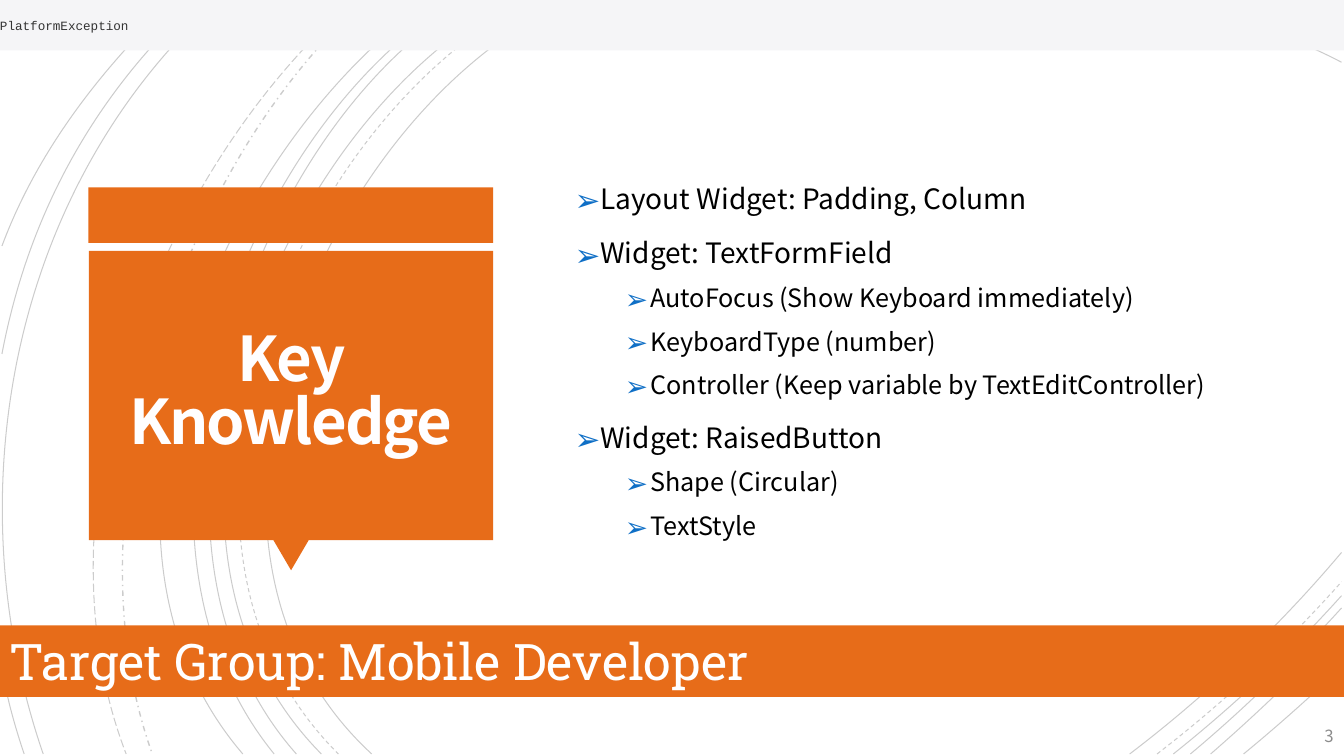
from lxml.etree import SubElement
from pptx import Presentation
from pptx.dml.color import RGBColor
from pptx.enum.dml import MSO_LINE
from pptx.enum.shapes import MSO_SHAPE
from pptx.enum.text import MSO_ANCHOR as ANCHOR, PP_ALIGN as ALIGN
from pptx.oxml.ns import qn
from pptx.util import Cm, Pt

SLIDE_W, SLIDE_H = 33.87, 19.05
SANS, SLAB, MONO = "Noto Sans CJK JP", "Roboto Slab", "Courier New"
ORANGE, WHITE = "E76C19", "FFFFFF"

# Cubic curves by dash style: start, two control points, end (x, y in cm)
CURVES = {
    MSO_LINE.SOLID: [
        (14.35, 0, 8, 2.92, 3.63, 13.72, 9.37, 19),
        (12.85, 0, 6.86, 3.23, 2.79, 13.64, 8.1, 19),
        (11.79, 0, 6.2, 3.38, 2.79, 13.74, 7.47, 19),
        (11.46, 0, 5.87, 3.51, 2.46, 13.54, 6.91, 19),
        (10.85, 0, 5.51, 3.73, 1.35, 13.44, 6.12, 19),
        (5.51, 0, 0.28, 4.7, -1.17, 12.45, 1.09, 19),
        (4.95, 0.03, 2.34, 2.44, 0.71, 5.44, 0.05, 8.92),
        (4.37, 0, 2.54, 1.75, 0.94, 3.81, 0.05, 6.2),
        (0.03, 16.71, 0.15, 17.5, 0.36, 18.26, 0.61, 19),
        (33.81, 1.57, 32.46, 0.86, 30.94, 0.41, 29.51, 0.03),
        (33.81, 0.74, 33.2, 0.48, 32.59, 0.23, 31.95, 0.03),
        (28.47, 19, 30.4, 17.53, 32.23, 15.8, 33.81, 13.92),
        (29.57, 19, 31.06, 17.81, 32.51, 16.46, 33.81, 15.01),
        (30, 19, 31.34, 17.88, 32.61, 16.64, 33.81, 15.32),
        (30.51, 19, 31.65, 18.01, 32.77, 16.94, 33.81, 15.82),
        (31.34, 19, 32.18, 18.31, 33, 17.58, 33.81, 16.81),
    ],
    MSO_LINE.DASH: [
        (13.34, 0, 7.24, 3.18, 3.12, 13.64, 8.53, 19),
        (33.81, 1.04, 32.94, 0.64, 32, 0.3, 31.12, 0.03),
        (29.16, 19, 30.81, 17.73, 32.39, 16.26, 33.81, 14.66),
    ],
    MSO_LINE.DASH_DOT: [(9.22, 0, 4.47, 4.22, 1.65, 12.93, 3.84, 19)],
    MSO_LINE.LONG_DASH: [(8.92, 0, 3.99, 4.29, 0.74, 12.67, 3.18, 19)],
}

# Level and wording
TOPICS = [
    (0, "Layout Widget: Padding, Column"),
    (0, "Widget: TextFormField"),
    (1, "AutoFocus (Show Keyboard immediately)"),
    (1, "KeyboardType (number)"),
    (1, "Controller (Keep variable by TextEditController)"),
    (0, "Widget: RaisedButton"),
    (1, "Shape (Circular)"),
    (1, "TextStyle"),
]


def rgb(color):
    return RGBColor.from_string(color)


def bend(sp):
    """Turn the three straight segments of a freeform into one cubic curve."""
    segments = list(sp._element.iter(qn("a:lnTo")))
    outline = segments[0].getparent()
    cubic = SubElement(outline, qn("a:cubicBezTo"))
    for segment in segments:
        cubic.append(segment.find(qn("a:pt")))
        outline.remove(segment)


def add_curve(s, curve, dash):
    start, *rest = zip(map(Cm, curve[::2]), map(Cm, curve[1::2]))
    builder = s.shapes.build_freeform(*start)
    builder.add_line_segments(rest, close=False)
    sp = builder.convert_to_shape()
    bend(sp)
    sp.shadow.inherit = False
    sp.fill.background()
    sp.line.color.rgb = rgb("000000")
    sp.line.width = Pt(1 if dash == MSO_LINE.DASH_DOT else 0.75)
    sp.line.dash_style = dash
    color = sp._element.spPr.find(".//" + qn("a:srgbClr"))
    SubElement(color, qn("a:alpha"), val="20000")


def add_block(s, box, fill, kind=MSO_SHAPE.RECTANGLE):
    sp = s.shapes.add_shape(kind, *map(Cm, box))
    sp.shadow.inherit = False
    sp.fill.solid()
    sp.fill.fore_color.rgb = rgb(fill)
    sp.line.fill.background()
    return sp


def add_text_box(s, box):
    return s.shapes.add_textbox(*map(Cm, box)).text_frame


def set_frame(tf, anchor=ANCHOR.MIDDLE, inset=None, wrap=True):
    tf.word_wrap = wrap
    tf.vertical_anchor = anchor
    if inset is not None:
        tf.margin_left = tf.margin_right = Cm(inset)
        tf.margin_top = tf.margin_bottom = Cm(inset)


def write(p, text, size, color, font=SANS, bold=False, align=ALIGN.LEFT,
          line_spacing=1, before=0, tracking=None):
    p.alignment = align
    p.line_spacing = line_spacing
    p.space_before = Pt(before)
    r = p.add_run()
    r.text = text
    r.font.size = Pt(size)
    r.font.name = font
    r.font.bold = bold
    r.font.color.rgb = rgb(color)
    if tracking is not None:
        r.font._element.set("spc", str(round(tracking * 100)))


def add_arrow_bullet(p, indent):
    pPr = p._p.get_or_add_pPr()
    pPr.set("marL", str(Cm(indent)))
    pPr.set("indent", str(-Cm(0.64)))
    bullet_color = SubElement(pPr, qn("a:buClr"))
    SubElement(bullet_color, qn("a:srgbClr"), val="0F6FC6")
    SubElement(pPr, qn("a:buSzPct"), val="110000")
    SubElement(pPr, qn("a:buFont"), typeface=SANS)
    SubElement(pPr, qn("a:buChar"), char="➢")


def add_title_callout(s):
    add_block(s, (2.23, 4.72, 10.2, 1.4), ORANGE)
    pointer = add_block(s, (6.89, 13.61, 0.89, 0.76), ORANGE,
                        MSO_SHAPE.ISOSCELES_TRIANGLE)
    pointer.rotation = 180
    add_block(s, (2.24, 6.32, 10.19, 7.29), ORANGE)
    tf = add_text_box(s, (2.46, 6.52, 9.73, 6.83))
    set_frame(tf, inset=0.64)
    write(tf.paragraphs[0], "Key Knowledge", 44, "FFFEFF", bold=True,
          align=ALIGN.CENTER, line_spacing=0.85, tracking=-1.5)


def add_topics(s):
    tf = add_text_box(s, (14.23, 2.24, 19.64, 13.54))
    set_frame(tf)
    for i, (level, text) in enumerate(TOPICS):
        p = tf.add_paragraph() if i else tf.paragraphs[0]
        p.level = level
        add_arrow_bullet(p, 0.64 + 1.27 * level)
        before = (10, 5)[level] if i else 0
        write(p, text, (20, 18)[level], "000000",
              line_spacing=1.2, before=before)


def add_slide_number(s):
    tf = add_text_box(s, (31.32, 18.1, 2.54, 0.89))
    set_frame(tf)
    write(tf.paragraphs[0], "3", 12, "8C8C8C", align=ALIGN.RIGHT)


def add_banners(s):
    tf = add_block(s, (0, 15.76, SLIDE_W, 1.8), ORANGE).text_frame
    set_frame(tf, anchor=ANCHOR.TOP)
    write(tf.paragraphs[0], "Target Group: Mobile Developer", 36, WHITE, SLAB)
    tf = add_block(s, (0, 0, SLIDE_W, 1.27), "F5F5F7").text_frame
    set_frame(tf, inset=0, wrap=False)
    write(tf.paragraphs[0], "PlatformException", 9, "333333", MONO)


def main():
    prs = Presentation()
    prs.slide_width, prs.slide_height = Cm(SLIDE_W), Cm(SLIDE_H)
    s = prs.slides.add_slide(prs.slide_layouts[6])
    for dash, curves in CURVES.items():
        for curve in curves:
            add_curve(s, curve, dash)
    add_title_callout(s)
    add_topics(s)
    add_slide_number(s)
    add_banners(s)
    prs.save("out.pptx")


if __name__ == "__main__":
    main()
